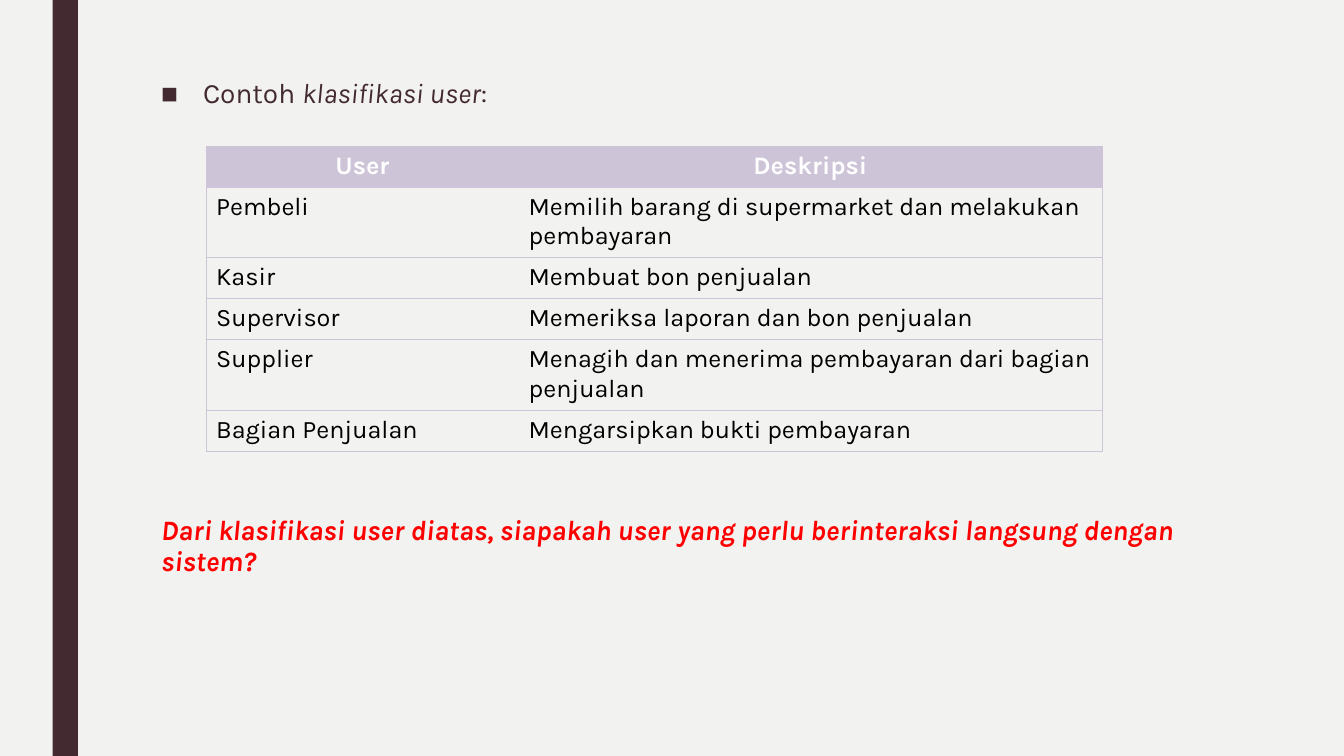
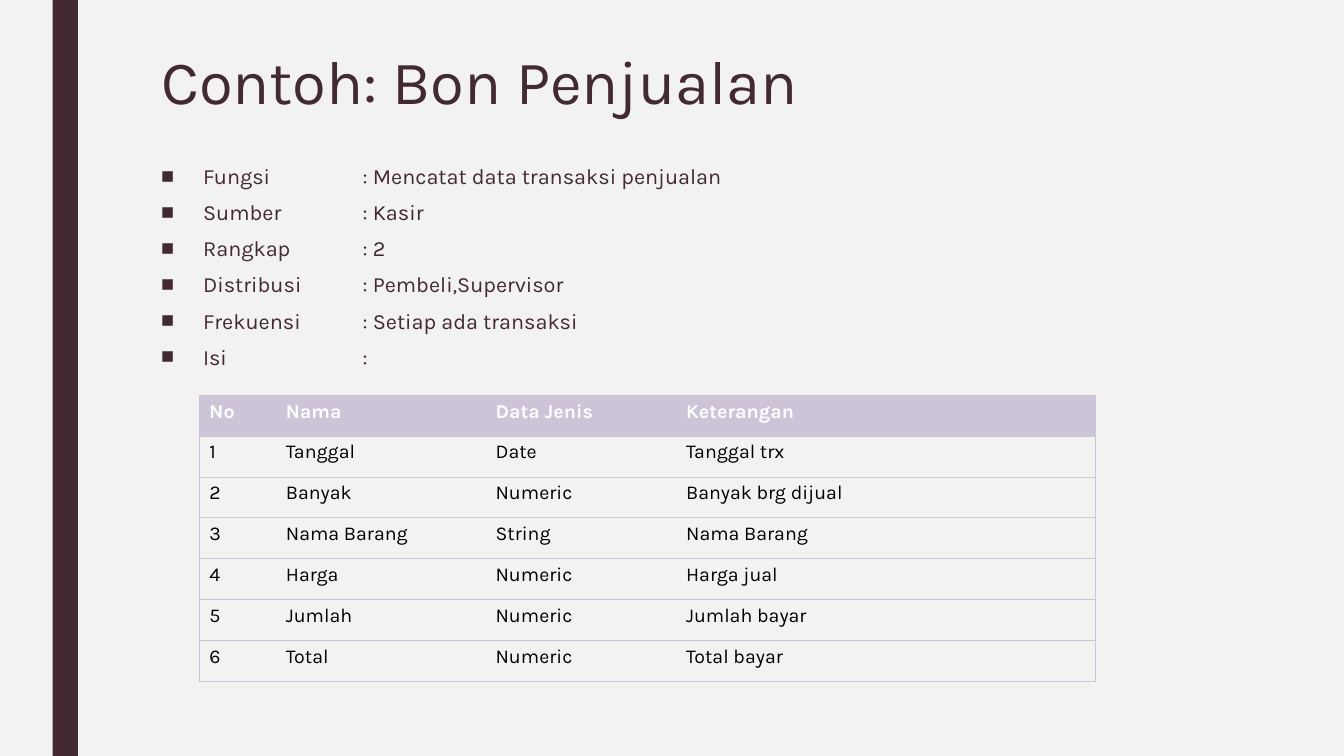
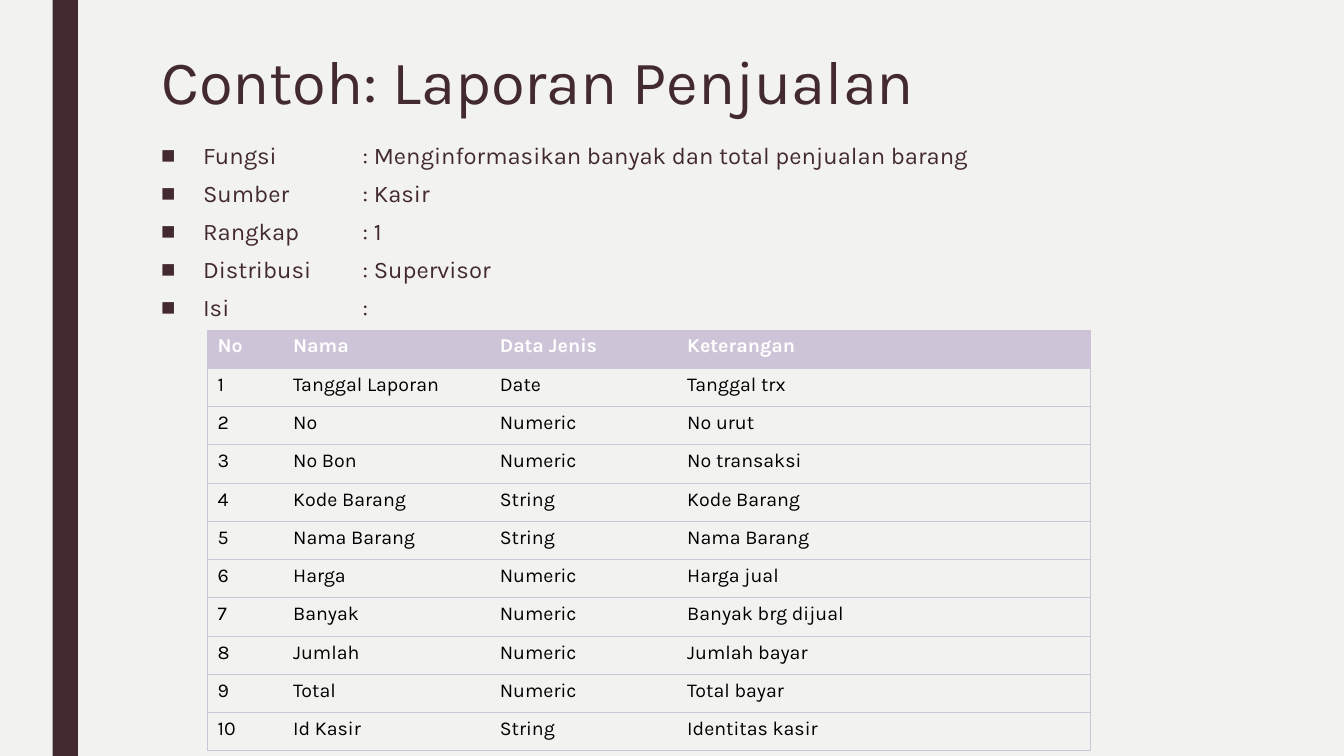
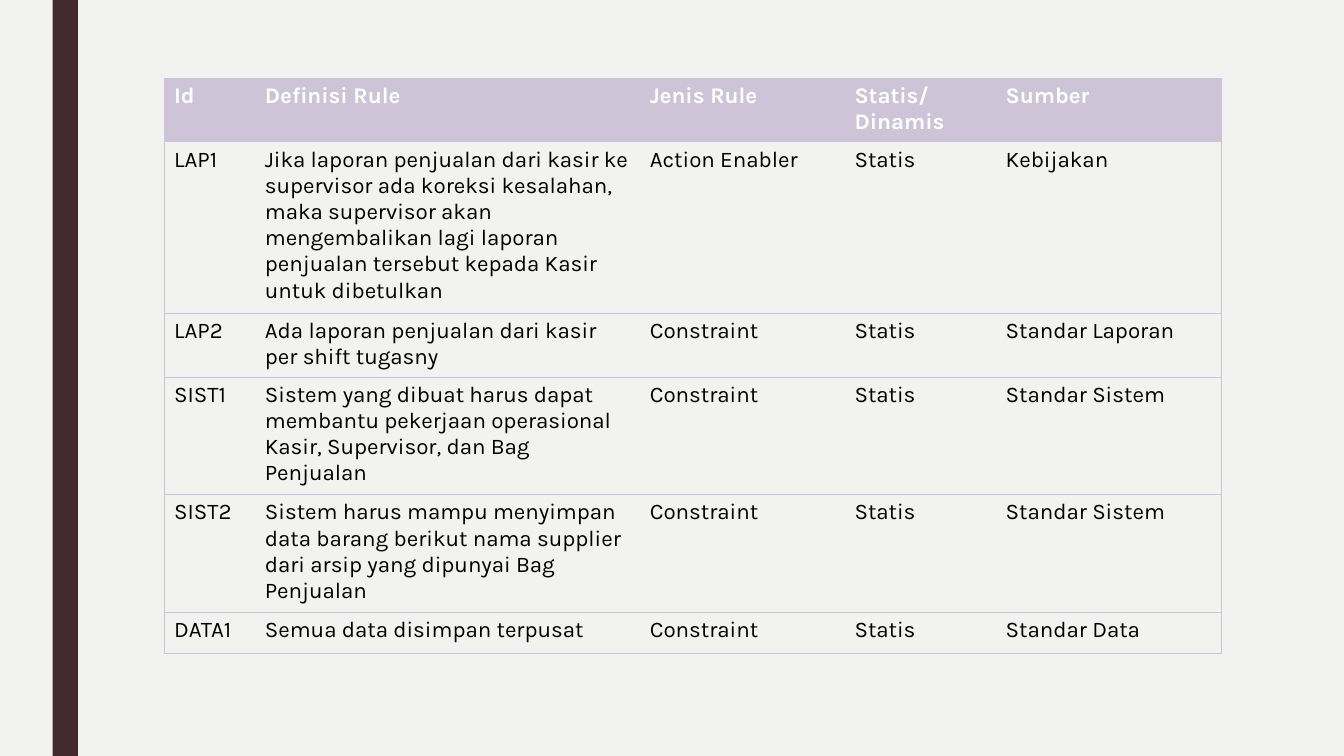
"""Build four slides on users, sales documents and business rules."""
from lxml import etree
from pptx import Presentation
from pptx.dml import color
from pptx.enum import shapes, text
from pptx.oxml import ns, parse_xml
from pptx.util import Pt

BACKGROUND, DARK, LILAC = "F2F2F0", "432A30", "CDC4D8"
WHITE, BLACK, RED = "FFFFFF", "000000", "FF0000"
FONT = "Karla"
NO_GRID_STYLE = "{2D5ABB26-0587-4C30-8999-92F81FD0307C}"
BODY_LEFT, BODY_WIDTH = 108, 756
TEXT_INDENT, TAB_STOP = 30, 144


def rgb(value):
    return color.RGBColor.from_string(value)


def apply(target, values):
    for name, value in values.items():
        if name == "color":
            target.color.rgb = rgb(value)
        else:
            setattr(target, name, value)


field_columns = [54.6, 149.8, 136.1, 299.5]
field_header = ["No", "Nama", "Data Jenis", "Keterangan"]
plain, italic = {}, {"italic": True}

contents = [
    {
        "body": {
            "top": 52.6, "height": 409.7, "size": 20, "spacing": 0.94,
            "items": [[("Contoh ", plain), ("klasifikasi user", italic), (":", plain)]],
        },
        "question": "Dari klasifikasi user diatas, siapakah user yang perlu "
                    "berinteraksi langsung dengan sistem?",
        "table": {
            "left": 147.2, "top": 104.4, "columns": [223.2, 416.9], "row": 29.2,
            "size": 18, "header_align": text.PP_ALIGN.CENTER,
            "rows": [
                ["User", "Deskripsi"],
                ["Pembeli", "Memilih barang di supermarket dan melakukan pembayaran"],
                ["Kasir", "Membuat bon penjualan"],
                ["Supervisor", "Memeriksa laporan dan bon penjualan"],
                ["Supplier", "Menagih dan menerima pembayaran dari bagian penjualan"],
                ["Bagian Penjualan", "Mengarsipkan bukti pembayaran"],
            ],
        },
    },
    {
        "title": "Contoh: Bon Penjualan",
        "body": {
            "top": 117.4, "height": 152.6, "size": 15.5, "spacing": 0.74,
            "items": [[(line, plain)] for line in [
                "Fungsi\t: Mencatat data transaksi penjualan",
                "Sumber\t: Kasir",
                "Rangkap\t: 2",
                "Distribusi\t: Pembeli,Supervisor",
                "Frekuensi\t: Setiap ada transaksi",
                "Isi\t:",
            ]],
        },
        "table": {
            "left": 142.4, "top": 282.2, "columns": field_columns, "row": 29.2, "size": 14,
            "rows": [
                field_header,
                ["1", "Tanggal", "Date", "Tanggal trx"],
                ["2", "Banyak", "Numeric", "Banyak brg dijual"],
                ["3", "Nama Barang", "String", "Nama Barang"],
                ["4", "Harga", "Numeric", "Harga jual"],
                ["5", "Jumlah", "Numeric", "Jumlah bayar"],
                ["6", "Total", "Numeric", "Total bayar"],
            ],
        },
    },
    {
        "title": "Contoh: Laporan Penjualan",
        "body": {
            "top": 102.2, "height": 136.8, "size": 17, "spacing": 0.74,
            "items": [[(line, plain)] for line in [
                "Fungsi\t: Menginformasikan banyak dan total penjualan barang",
                "Sumber\t: Kasir",
                "Rangkap\t: 1",
                "Distribusi\t: Supervisor",
                "Isi\t:",
            ]],
        },
        "table": {
            "left": 148.2, "top": 235.7, "columns": [54, 147.6, 133.9, 295.2],
            "row": 27.35, "size": 14,
            "rows": [
                field_header,
                ["1", "Tanggal Laporan", "Date", "Tanggal trx"],
                ["2", "No", "Numeric", "No urut"],
                ["3", "No Bon", "Numeric", "No transaksi"],
                ["4", "Kode Barang", "String", "Kode Barang"],
                ["5", "Nama Barang", "String", "Nama Barang"],
                ["6", "Harga", "Numeric", "Harga jual"],
                ["7", "Banyak", "Numeric", "Banyak brg dijual"],
                ["8", "Jumlah", "Numeric", "Jumlah bayar"],
                ["9", "Total", "Numeric", "Total bayar"],
                ["10", "Id Kasir", "String", "Identitas kasir"],
            ],
        },
    },
    {
        "table": {
            "left": 117.2, "top": 55.6, "columns": [64.8, 275, 146.2, 108, 161.3],
            "row": 29.2, "size": 16,
            "rows": [
                ["Id", "Definisi Rule", "Jenis Rule", "Statis/Dinamis", "Sumber"],
                ["LAP1", "Jika laporan penjualan dari kasir ke supervisor ada koreksi "
                 "kesalahan, maka supervisor akan mengembalikan lagi laporan penjualan "
                 "tersebut kepada Kasir untuk dibetulkan",
                 "Action Enabler", "Statis", "Kebijakan"],
                ["LAP2", "Ada laporan penjualan dari kasir per shift tugasny",
                 "Constraint", "Statis", "Standar Laporan"],
                ["SIST1", "Sistem yang dibuat harus dapat membantu pekerjaan operasional "
                 "Kasir, Supervisor, dan Bag Penjualan",
                 "Constraint", "Statis", "Standar Sistem"],
                ["SIST2", "Sistem harus mampu menyimpan data barang berikut nama supplier "
                 "dari arsip yang dipunyai Bag Penjualan",
                 "Constraint", "Statis", "Standar Sistem"],
                ["DATA1", "Semua data disimpan terpusat",
                 "Constraint", "Statis", "Standar Data"],
            ],
        },
    },
]

presentation = Presentation()
apply(presentation, {"slide_width": Pt(960), "slide_height": Pt(540)})
master = presentation.slide_master
master.background.fill.solid()
master.background.fill.fore_color.rgb = rgb(BACKGROUND)
title_layout, blank_layout = presentation.slide_layouts[5], presentation.slide_layouts[6]

for content in contents:
    has_title = "title" in content
    slide = presentation.slides.add_slide(title_layout if has_title else blank_layout)

    bar = slide.shapes.add_shape(shapes.MSO_SHAPE.RECTANGLE, Pt(37.6), 0, Pt(18), Pt(540))
    bar.shadow.inherit = False
    bar.fill.solid()
    bar.fill.fore_color.rgb = rgb(DARK)
    bar.line.fill.background()

    if has_title:
        title = slide.shapes.title
        apply(title, {"left": Pt(BODY_LEFT), "top": Pt(33.8),
                      "width": Pt(BODY_WIDTH), "height": Pt(83.5)})
        title.text_frame.text = content["title"]
        apply(title.text_frame, {"vertical_anchor": text.MSO_ANCHOR.TOP,
                                 "auto_size": text.MSO_AUTO_SIZE.NONE})
        paragraph = title.text_frame.paragraphs[0]
        apply(paragraph, {"alignment": text.PP_ALIGN.LEFT, "line_spacing": 0.89})
        apply(paragraph.runs[0].font, {"name": FONT, "size": Pt(44), "color": DARK})

    if "body" in content:
        body = content["body"]
        box = slide.shapes.add_textbox(Pt(BODY_LEFT), Pt(body["top"]),
                                       Pt(BODY_WIDTH), Pt(body["height"]))
        frame = box.text_frame
        frame.word_wrap = True
        body_spacing = {"line_spacing": body["spacing"],
                        "space_before": Pt(10), "space_after": Pt(2)}
        body_font = {"name": FONT, "size": Pt(body["size"]), "color": DARK}
        for index, item in enumerate(body["items"]):
            paragraph = frame.add_paragraph() if index else frame.paragraphs[0]
            apply(paragraph, body_spacing)
            for words, emphasis in item:
                run = paragraph.add_run()
                run.text = words
                apply(run.font, {**body_font, **emphasis})
            properties = paragraph._p.get_or_add_pPr()
            properties.set("marL", str(Pt(TEXT_INDENT)))
            properties.set("indent", str(-Pt(TEXT_INDENT)))
            etree.SubElement(properties, ns.qn("a:buFont")).set("typeface", "Arial")
            etree.SubElement(properties, ns.qn("a:buChar")).set("char", "■")
            tabs = etree.SubElement(properties, ns.qn("a:tabLst"))
            tab = etree.SubElement(tabs, ns.qn("a:tab"))
            tab.set("pos", str(Pt(TAB_STOP)))
            tab.set("algn", "l")
        if "question" in content:
            paragraph = frame.add_paragraph()
            apply(paragraph, {**body_spacing, "space_before": Pt(287)})
            run = paragraph.add_run()
            run.text = content["question"]
            apply(run.font, {**body_font, "color": RED, "bold": True, "italic": True})

    grid = content["table"]
    rows, columns = grid["rows"], grid["columns"]
    table = slide.shapes.add_table(len(rows), len(columns), Pt(grid["left"]), Pt(grid["top"]),
                                   Pt(sum(columns)), Pt(grid["row"] * len(rows))).table
    table.horz_banding = False
    table._tbl.tblPr.find(ns.qn("a:tableStyleId")).text = NO_GRID_STYLE
    for column, width in zip(table.columns, columns):
        column.width = Pt(width)
    for row_index, row in enumerate(rows):
        is_header = row_index == 0
        table.rows[row_index].height = Pt(grid["row"])
        for column_index, words in enumerate(row):
            cell = table.cell(row_index, column_index)
            cell.text = words
            sides = ["lnT", "lnB"]
            if column_index == len(row) - 1:
                sides.insert(0, "lnR")
            if column_index == 0:
                sides.insert(0, "lnL")
            for side in sides:
                cell._tc.get_or_add_tcPr().append(parse_xml(
                    f'<a:{side} {ns.nsdecls("a")} w="{Pt(0.5)}"><a:solidFill>'
                    f'<a:srgbClr val="{LILAC}"/></a:solidFill></a:{side}>'))
            if is_header:
                cell.fill.solid()
                cell.fill.fore_color.rgb = rgb(LILAC)
            else:
                cell.fill.background()
            paragraph = cell.text_frame.paragraphs[0]
            if is_header:
                paragraph.alignment = grid.get("header_align", text.PP_ALIGN.LEFT)
            apply(paragraph.runs[0].font, {
                "name": FONT, "size": Pt(grid["size"]), "bold": is_header,
                "color": WHITE if is_header else BLACK})

presentation.save("out.pptx")
